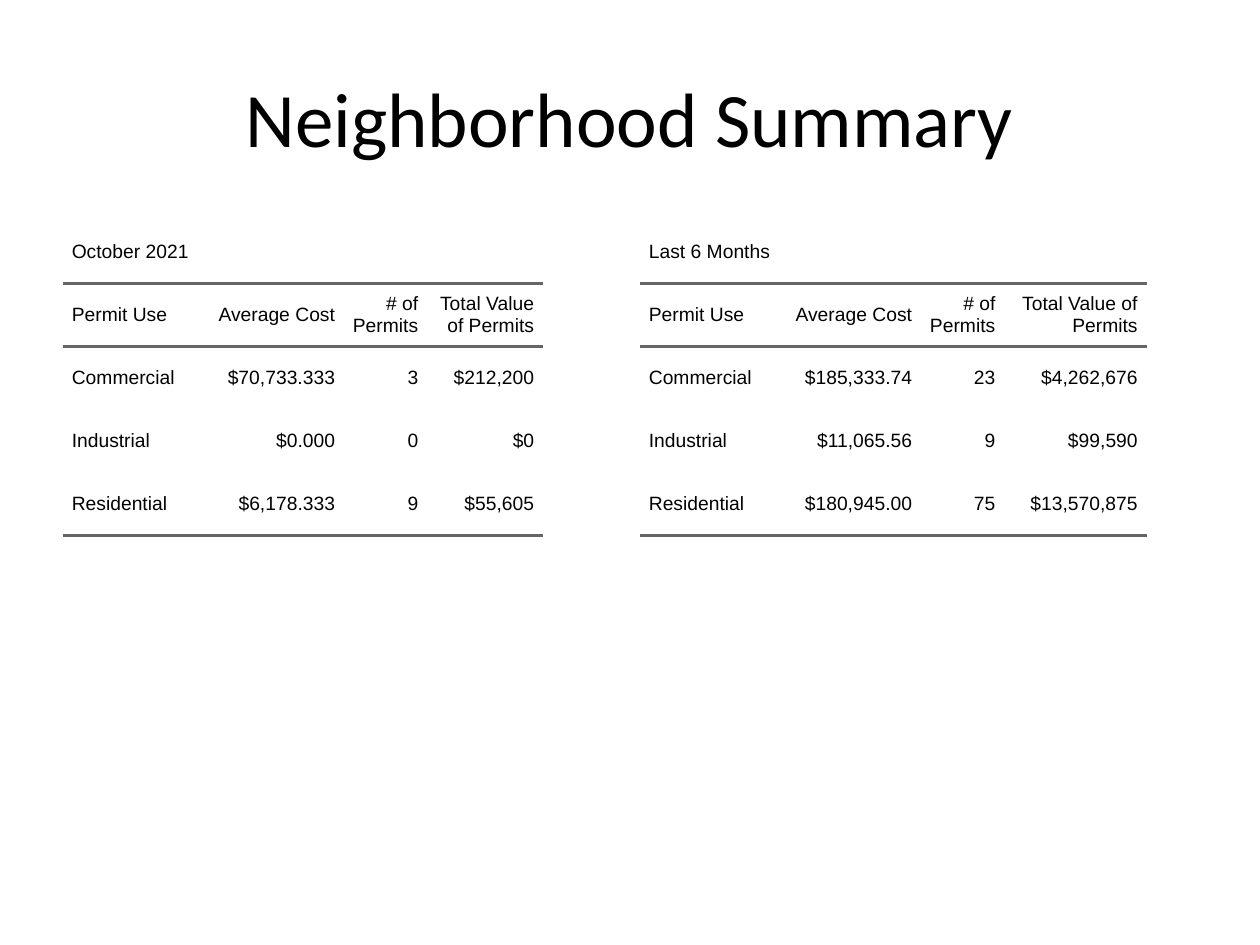
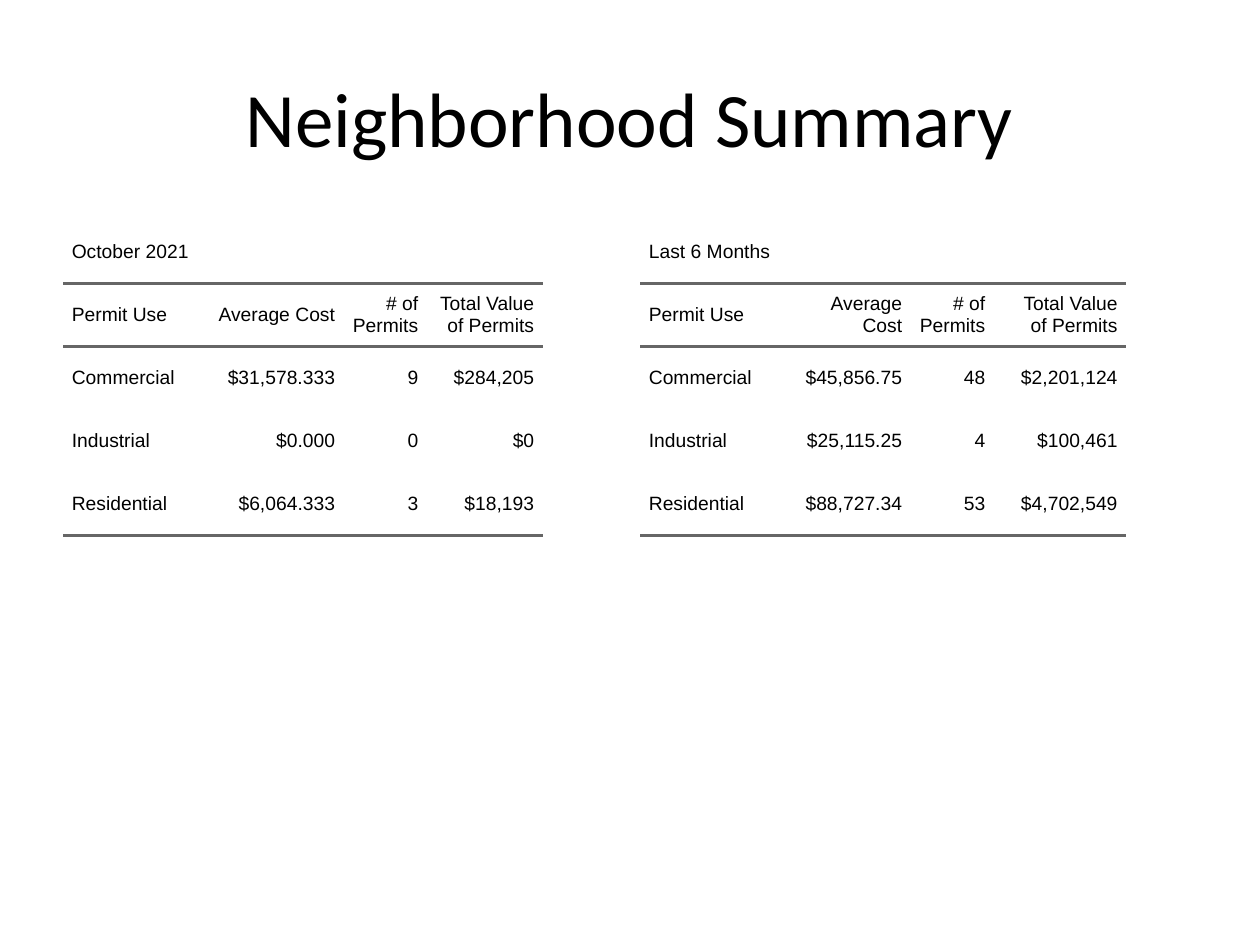
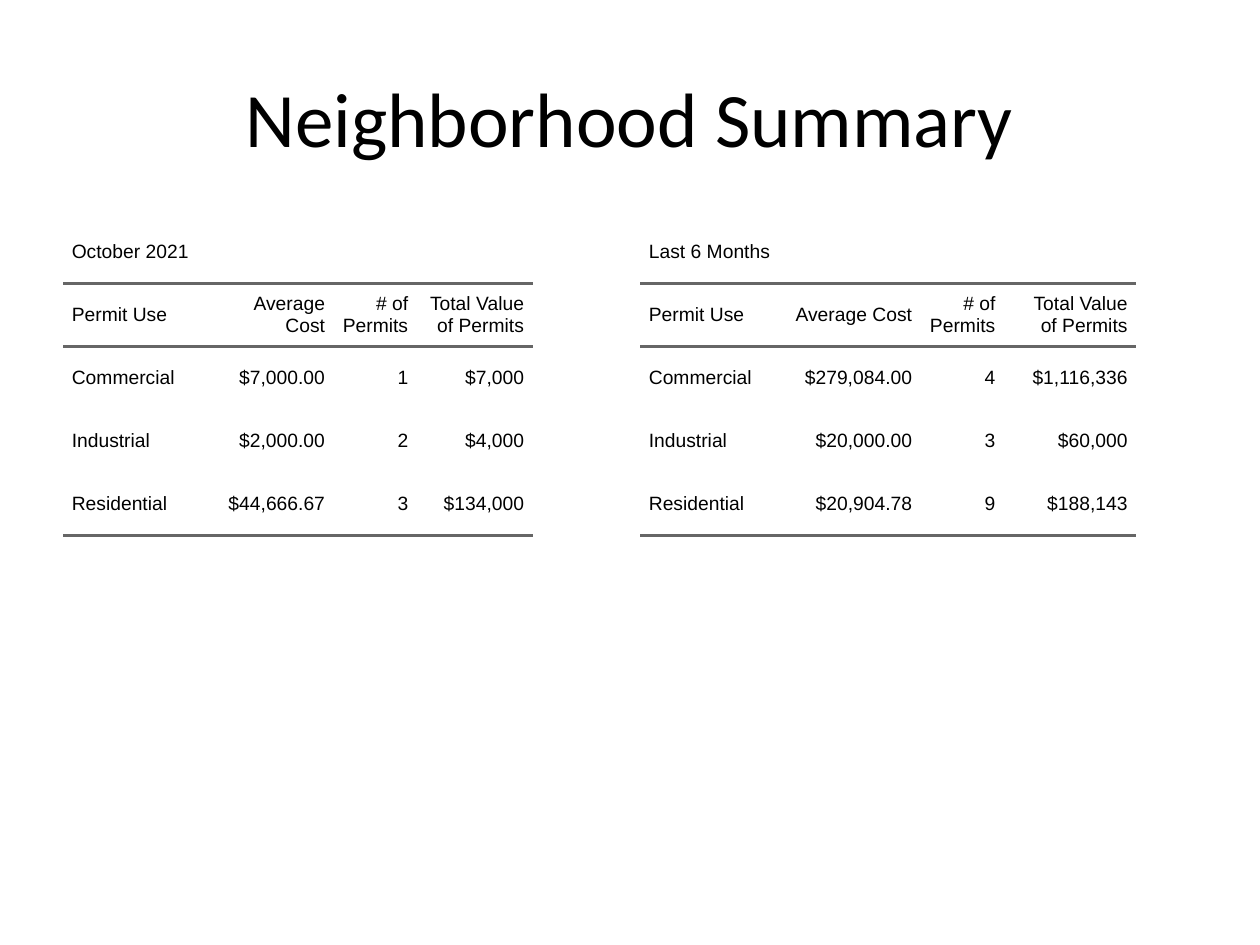
from dataclasses import dataclass

from lxml import etree
from pptx import Presentation
from pptx.dml.color import RGBColor
from pptx.enum.text import MSO_ANCHOR, PP_ALIGN
from pptx.oxml.ns import qn
from pptx.slide import Slide
from pptx.table import Table, _Cell
from pptx.util import Inches, Pt

LEFT, CENTER, RIGHT = PP_ALIGN.LEFT, PP_ALIGN.CENTER, PP_ALIGN.RIGHT
MIDDLE = MSO_ANCHOR.MIDDLE

BLACK = RGBColor(0x00, 0x00, 0x00)
RULE_GRAY = RGBColor(0x66, 0x66, 0x66)
RULE_WIDTH = Pt(2)

TITLE_ONLY = 5
PLAIN_TABLE_STYLE = "{2D5ABB26-0587-4C30-8999-92F81FD0307C}"

TITLE = "Neighborhood Summary"
TITLE_BOX = {"left": Inches(0.5), "top": Inches(0.3),
             "width": Inches(9), "height": Inches(1.25)}
TITLE_FONT = {"name": "Calibri", "size": Pt(44)}
TABLE_FONT = {"name": "Arial", "size": Pt(11)}
CELL_FORMAT = {"margin_left": Inches(0.07), "margin_right": Inches(0.07),
               "margin_top": 0, "margin_bottom": 0, "vertical_anchor": MIDDLE}

TABLE_TOP = Inches(1.75)
ROW_HEIGHT = Inches(0.5)
USE_WIDTH = Inches(1.1)
COUNT_WIDTH = Inches(0.66)
MONEY_WIDTHS = {8: Inches(0.92), 10: Inches(1.05), 11: Inches(1.13)}

HEADINGS = ("Permit Use", "Average Cost", "# of Permits", "Total Value of Permits")
RULED_SIDES = {1: ("a:lnT", "a:lnB"), 4: ("a:lnB",)}


@dataclass(frozen=True)
class Permits:
    use: str
    average_cost: str
    count: str
    total_value: str

    def values(self) -> tuple[str, ...]:
        return self.use, self.average_cost, self.count, self.total_value


@dataclass(frozen=True)
class Period:
    name: str
    left: Inches


@dataclass(frozen=True)
class Neighborhood:
    month: tuple[Permits, ...]
    half_year: tuple[Permits, ...]


MONTH = Period("October 2021", Inches(0.5))
HALF_YEAR = Period("Last 6 Months", Inches(5.08))

NEIGHBORHOODS = (
    Neighborhood(
        (Permits("Commercial", "$70,733.333", "3", "$212,200"),
         Permits("Industrial", "$0.000", "0", "$0"),
         Permits("Residential", "$6,178.333", "9", "$55,605")),
        (Permits("Commercial", "$185,333.74", "23", "$4,262,676"),
         Permits("Industrial", "$11,065.56", "9", "$99,590"),
         Permits("Residential", "$180,945.00", "75", "$13,570,875")),
    ),
    Neighborhood(
        (Permits("Commercial", "$31,578.333", "9", "$284,205"),
         Permits("Industrial", "$0.000", "0", "$0"),
         Permits("Residential", "$6,064.333", "3", "$18,193")),
        (Permits("Commercial", "$45,856.75", "48", "$2,201,124"),
         Permits("Industrial", "$25,115.25", "4", "$100,461"),
         Permits("Residential", "$88,727.34", "53", "$4,702,549")),
    ),
    Neighborhood(
        (Permits("Commercial", "$7,000.00", "1", "$7,000"),
         Permits("Industrial", "$2,000.00", "2", "$4,000"),
         Permits("Residential", "$44,666.67", "3", "$134,000")),
        (Permits("Commercial", "$279,084.00", "4", "$1,116,336"),
         Permits("Industrial", "$20,000.00", "3", "$60,000"),
         Permits("Residential", "$20,904.78", "9", "$188,143")),
    ),
)


def apply_format(target: object, values: dict) -> None:
    for attribute, value in values.items():
        setattr(target, attribute, value)


def write_text(frame, text: str, font: dict, alignment: PP_ALIGN) -> None:
    frame.text = text
    paragraph = frame.paragraphs[0]
    paragraph.alignment = alignment
    run_font = paragraph.runs[0].font
    apply_format(run_font, font)
    run_font.color.rgb = BLACK


def add_title(slide: Slide) -> None:
    title = slide.shapes.title
    apply_format(title, TITLE_BOX)
    title.text_frame.vertical_anchor = MIDDLE
    write_text(title.text_frame, TITLE, TITLE_FONT, CENTER)


def rule_cell(cell: _Cell, side: str) -> None:
    properties = cell._tc.get_or_add_tcPr()
    rule = etree.SubElement(properties, qn(side), w=str(RULE_WIDTH))
    fill = etree.SubElement(rule, qn("a:solidFill"))
    etree.SubElement(fill, qn("a:srgbClr"), val=str(RULE_GRAY))


def clear_table_style(table: Table) -> None:
    table.first_row = False
    table.horz_banding = False
    table._tbl.tblPr.find(qn("a:tableStyleId")).text = PLAIN_TABLE_STYLE


def money_width(amounts: list[str]) -> Inches:
    return MONEY_WIDTHS[max(len(amount) for amount in amounts)]


def add_permit_table(slide: Slide, period: Period, permits: tuple[Permits, ...]) -> None:
    widths = (USE_WIDTH, money_width([p.average_cost for p in permits]),
              COUNT_WIDTH, money_width([p.total_value for p in permits]))
    lines = [(period.name,), HEADINGS, *(p.values() for p in permits)]
    table = slide.shapes.add_table(
        len(lines), len(widths), period.left, TABLE_TOP,
        sum(widths), ROW_HEIGHT * len(lines)).table
    clear_table_style(table)
    for column, width in zip(table.columns, widths):
        column.width = width
    table.cell(0, 0).merge(table.cell(0, len(widths) - 1))
    for row_index, line in enumerate(lines):
        table.rows[row_index].height = ROW_HEIGHT
        for column_index, text in enumerate(line):
            cell = table.cell(row_index, column_index)
            apply_format(cell, CELL_FORMAT)
            write_text(cell.text_frame, text, TABLE_FONT, RIGHT if column_index else LEFT)
            for side in RULED_SIDES.get(row_index, ()):
                rule_cell(cell, side)
            cell.fill.background()


def main() -> None:
    presentation = Presentation()
    presentation.slide_width = Inches(10)
    presentation.slide_height = Inches(7.5)
    for neighborhood in NEIGHBORHOODS:
        slide = presentation.slides.add_slide(presentation.slide_layouts[TITLE_ONLY])
        add_title(slide)
        add_permit_table(slide, MONTH, neighborhood.month)
        add_permit_table(slide, HALF_YEAR, neighborhood.half_year)
    presentation.save("out.pptx")


if __name__ == "__main__":
    main()
